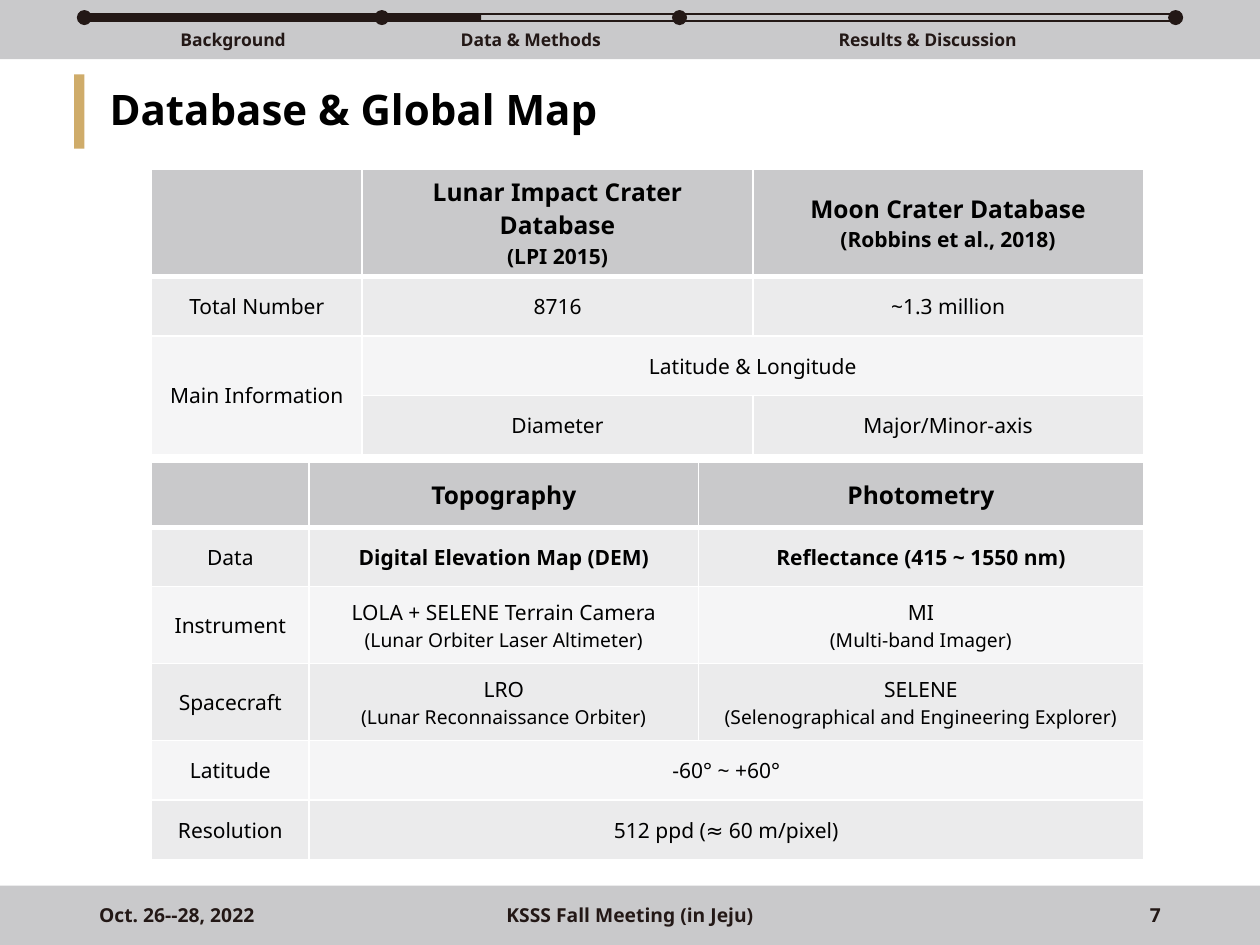
from dataclasses import dataclass

from pptx import Presentation
from pptx.dml.color import RGBColor
from pptx.enum.shapes import MSO_SHAPE
from pptx.enum.text import MSO_ANCHOR, MSO_AUTO_SIZE, PP_ALIGN
from pptx.oxml import parse_xml
from pptx.oxml.ns import nsdecls
from pptx.util import Pt


@dataclass(frozen=True)
class Theme:
    """Colours, font and type sizes of the slide."""
    font: str = "Noto Sans"
    black: str = "000000"
    white: str = "FFFFFF"
    dark: str = "231816"
    gold: str = "CFAC6A"
    grey: str = "C9C9CB"
    bands: tuple = ("EBEBEC", "F5F5F6")
    title: int = 24
    head: int = 14
    body: int = 12
    note: int = 11
    footer: int = 11
    nav: int = 10


T = Theme()
TRACK_LEFT, TRACK_TOP, TRACK_WIDTH, TRACK_HEIGHT = 48.2, 7.9, 623.6, 4.3
DOT = 8.6
STOPS = (48.2, 218.2, 388.3, 671.8)
SECTIONS = ("Background", "Data & Methods", "Results & Discussion")

CRATER_COLS = (120.4, 223.2, 223.2)
CRATER_HEIGHTS = (61.5, 34, 34, 34)
CRATER_ROWS = (
    ("", "Lunar Impact Crater Database\n(LPI 2015)", "Moon Crater Database\n(Robbins et al., 2018)"),
    ("Total Number", "8716", "~1.3 million"),
    ("Main Information", "Latitude & Longitude", ""),
    ("", "Diameter", "Major/Minor-axis"),
)
MAP_COLS = (90.1, 222.5, 254.2)
MAP_HEIGHTS = (37, 34, 44, 44, 34, 34)
MAP_ROWS = (
    ("", "Topography", "Photometry"),
    ("Data", "Digital Elevation Map (DEM)", "Reflectance (415 ~ 1550 nm)"),
    ("Instrument", "LOLA + SELENE Terrain Camera\n(Lunar Orbiter Laser Altimeter)", "MI\n(Multi-band Imager)"),
    ("Spacecraft", "LRO\n(Lunar Reconnaissance Orbiter)", "SELENE\n(Selenographical and Engineering Explorer)"),
    ("Latitude", "-60° ~ +60°", ""),
    ("Resolution", "512 ppd (≈ 60 m/pixel)", ""),
)


def style(p, size, color, bold=True, align=PP_ALIGN.CENTER):
    """Format a whole paragraph."""
    p.alignment = align
    p.font.name = T.font
    p.font.size = Pt(size)
    p.font.bold = bold
    p.font.color.rgb = RGBColor.from_string(color)


def add_block(s, kind, left, top, width, height, fill=None, line=None):
    """Add a flat preset shape with an optional fill and outline."""
    sp = s.shapes.add_shape(kind, Pt(left), Pt(top), Pt(width), Pt(height))
    sp.shadow.inherit = False
    if fill:
        sp.fill.solid()
        sp.fill.fore_color.rgb = RGBColor.from_string(fill)
    else:
        sp.fill.background()
    if line:
        sp.line.color.rgb = RGBColor.from_string(line)
        sp.line.width = Pt(1)
    else:
        sp.line.fill.background()


def add_label(s, text, left, top, width, height, size, align=PP_ALIGN.CENTER, inset=0):
    """Add a one-line bold label."""
    tf = s.shapes.add_textbox(Pt(left), Pt(top), Pt(width), Pt(height)).text_frame
    tf.word_wrap = True
    tf.vertical_anchor = MSO_ANCHOR.MIDDLE
    tf.margin_left = tf.margin_right = Pt(inset)
    tf.margin_top = tf.margin_bottom = 0
    tf.text = text
    style(tf.paragraphs[0], size, T.dark, align=align)


def add_header(s):
    """Add the progress track with its stops and section names."""
    add_block(s, MSO_SHAPE.RECTANGLE, 0, 0, 720, 33.8, T.grey)
    for x in STOPS:
        add_block(s, MSO_SHAPE.OVAL, x - DOT / 2, TRACK_TOP + (TRACK_HEIGHT - DOT) / 2, DOT, DOT, T.dark)
    for text, start, end in zip(SECTIONS, STOPS, STOPS[1:]):
        add_label(s, text, (start + end) / 2 - 71, 15.4, 142, 14.4, T.nav)
    add_block(s, MSO_SHAPE.RECTANGLE, TRACK_LEFT, TRACK_TOP, TRACK_WIDTH, TRACK_HEIGHT, line=T.dark)
    add_block(s, MSO_SHAPE.RECTANGLE, TRACK_LEFT, TRACK_TOP, 226.8, TRACK_HEIGHT, T.dark)


def add_title(s, text):
    """Place and format the title beside its accent bar."""
    add_block(s, MSO_SHAPE.RECTANGLE, 42.4, 42.5, 5.8, 42.5, T.gold)
    sp = s.shapes.title
    sp.left, sp.top, sp.width, sp.height = Pt(48.2), Pt(42.5), Pt(623.6), Pt(42.5)
    tf = sp.text_frame
    tf.text = text
    tf.auto_size = MSO_AUTO_SIZE.NONE
    tf.vertical_anchor = MSO_ANCHOR.MIDDLE
    tf.margin_left = tf.margin_right = Pt(14.4)
    tf.margin_top = tf.margin_bottom = 0
    p = tf.paragraphs[0]
    p.line_spacing = 0.9
    style(p, T.title, T.black, align=PP_ALIGN.LEFT)


def add_footer(s):
    """Add the date, meeting name and slide number."""
    add_block(s, MSO_SHAPE.RECTANGLE, 0, 506, 720, 34, T.grey)
    for text, left, width, align in (
        ("Oct. 26--28, 2022", 49.5, 162, PP_ALIGN.LEFT),
        ("KSSS Fall Meeting (in Jeju)", 238.5, 243, PP_ALIGN.CENTER),
        ("7", 508.5, 162, PP_ALIGN.RIGHT),
    ):
        add_label(s, text, left, 511.6, width, 22.3, T.footer, align, 7.2)


def set_borders(cell, row):
    """Draw white cell borders, thicker under the header row."""
    widths = {"L": 1, "R": 1, "T": 3 if row == 1 else 1, "B": 3 if row == 0 else 1}
    for side, width in widths.items():
        cell._tc.get_or_add_tcPr().append(parse_xml(
            f'<a:ln{side} {nsdecls("a")} w="{Pt(width)}"><a:solidFill>'
            f'<a:srgbClr val="{T.white}"/></a:solidFill></a:ln{side}>'))


def fill_cell(cell, text, row, bold):
    """Write a cell whose second line is set smaller."""
    set_borders(cell, row)
    cell.fill.solid()
    cell.fill.fore_color.rgb = RGBColor.from_string(T.bands[(row - 1) % 2] if row else T.grey)
    cell.vertical_anchor = MSO_ANCHOR.MIDDLE
    cell.text = text
    sizes = (T.body, T.note) if row else (T.head, T.body)
    for p, size in zip(cell.text_frame.paragraphs, sizes):
        style(p, size, T.black, bold)


def add_grid(s, top, cols, heights, rows, merges, bold_cells=()):
    """Add a banded table with merged cells."""
    frame = s.shapes.add_table(len(rows), len(cols), Pt(86.6), Pt(top), Pt(sum(cols)), Pt(sum(heights)))
    table = frame.table
    for column, width in zip(table.columns, cols):
        column.width = Pt(width)
    for row, height in zip(table.rows, heights):
        row.height = Pt(height)
    for i, texts in enumerate(rows):
        for j, text in enumerate(texts):
            fill_cell(table.cell(i, j), text, i, i == 0 or (i, j) in bold_cells)
    for first, last in merges:
        table.cell(*first).merge(table.cell(*last))


def main():
    """Build and save the slide."""
    prs = Presentation()
    prs.slide_width, prs.slide_height = Pt(720), Pt(540)
    s = prs.slides.add_slide(prs.slide_layouts[5])
    add_header(s)
    add_title(s, "Database & Global Map")
    add_footer(s)
    add_grid(s, 96.6, CRATER_COLS, CRATER_HEIGHTS, CRATER_ROWS,
             (((2, 0), (3, 0)), ((2, 1), (2, 2))))
    add_grid(s, 264.3, MAP_COLS, MAP_HEIGHTS, MAP_ROWS,
             (((4, 1), (4, 2)), ((5, 1), (5, 2))), ((1, 1), (1, 2)))
    prs.save("out.pptx")


if __name__ == "__main__":
    main()
